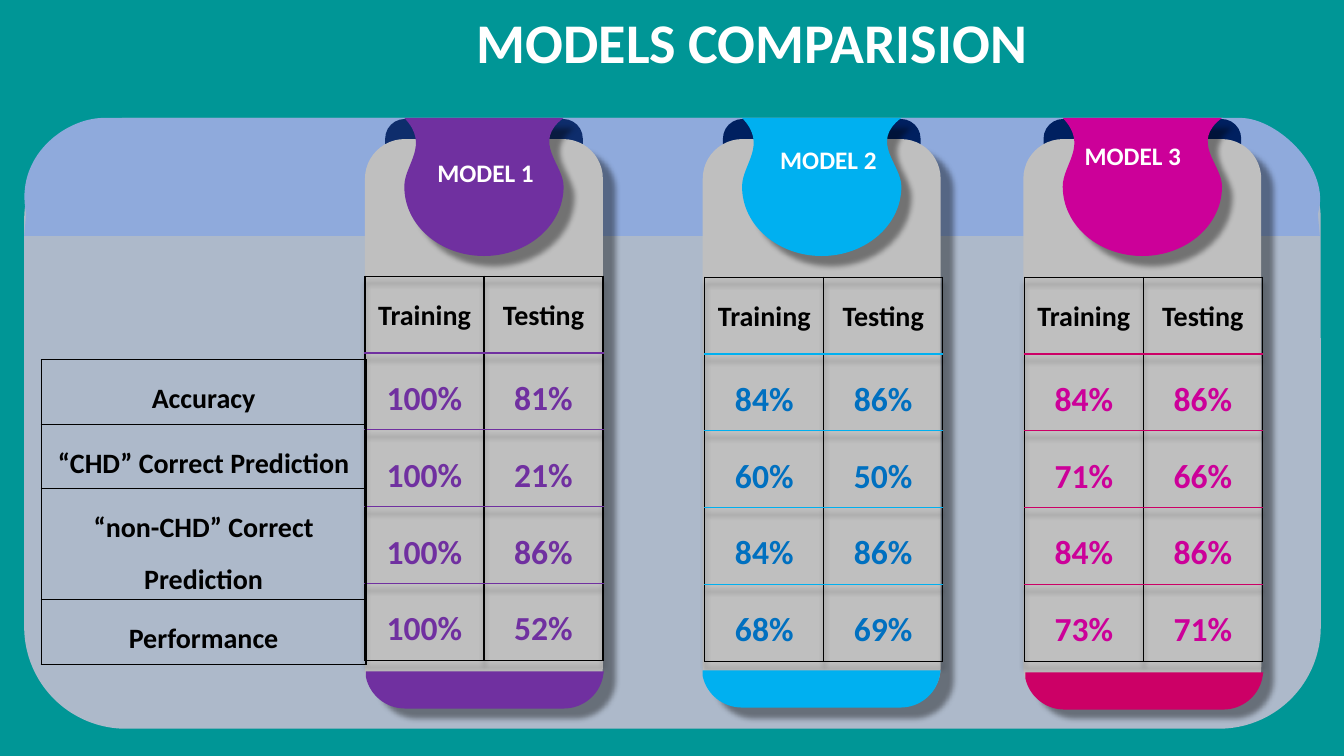
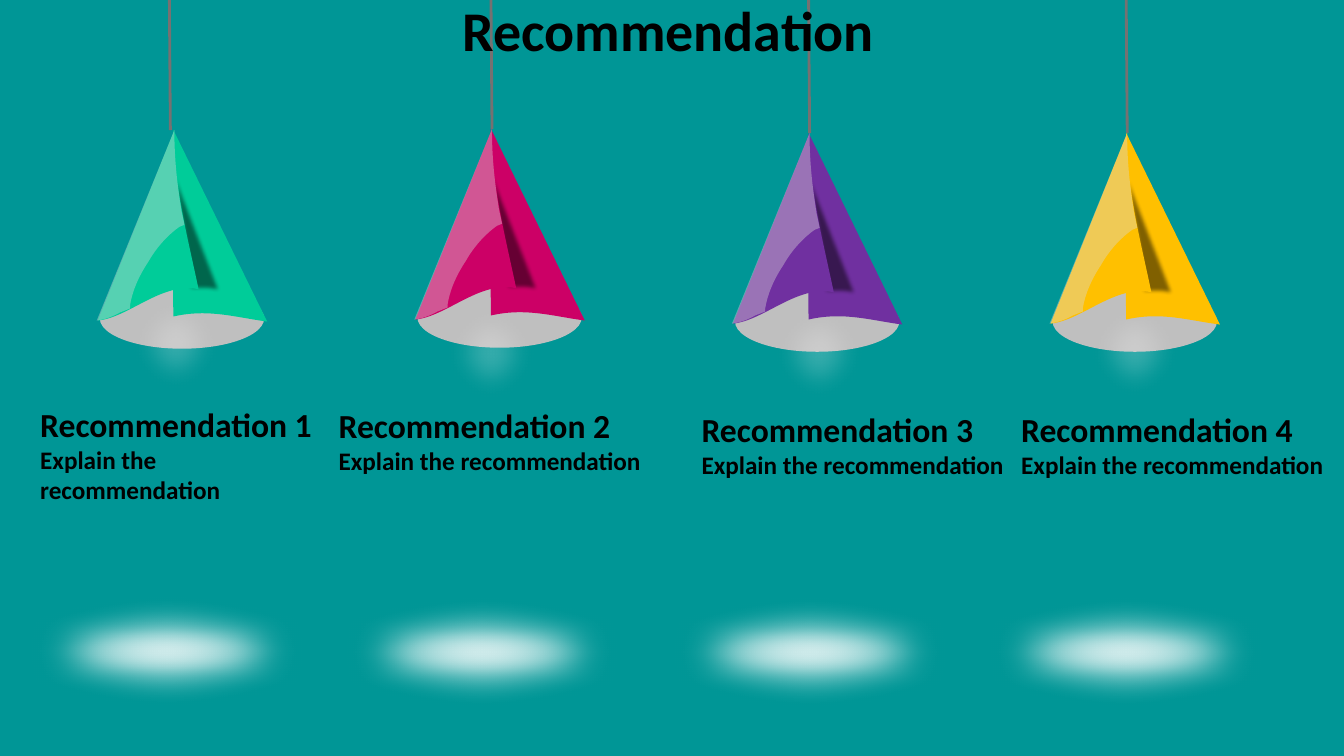
from lxml import etree
from pptx import Presentation
from pptx import util as u
from pptx.dml.color import RGBColor
from pptx.enum import shapes, text
from pptx.oxml import ns

# Shared look
FONT = "Calibri"
TEAL, BLACK, WHITE, SILVER = "009696", "000000", "FFFFFF", "BFBFBF"
PURPLE, SKY, MAGENTA, CRIMSON = "7030A0", "00B0F0", "CC0099", "CC0066"
NAVY = "002060"

# Models: name, pill left, badge, foot and rules, figures, label place,
# foot place, table place, rows
MODELS = [
    ("MODEL 1", 3.62, PURPLE, PURPLE, PURPLE, (4.24, 1.51, 1.44, 0.4),
     (3.63, 6.66), (3.62, 2.74),
     [("100%", "81%"), ("100%", "21%"), ("100%", "86%"), ("100%", "52%")]),
    ("MODEL 2", 6.97, SKY, SKY, "0070C0", (7.64, 1.38, 1.44, 0.4),
     (6.97, 6.65), (6.99, 2.75),
     [("84%", "86%"), ("60%", "50%"), ("84%", "86%"), ("68%", "69%")]),
    ("MODEL 3", 10.15, MAGENTA, CRIMSON, MAGENTA, (10.66, 1.34, 1.7, 0.4),
     (10.17, 6.67), (10.16, 2.75),
     [("84%", "86%"), ("71%", "66%"), ("84%", "86%"), ("73%", "71%")]),
]
MEASURES = ["Accuracy", "“CHD” Correct Prediction",
            "“non-CHD” Correct Prediction", "Performance"]

# Lamps: colour, apex, glow place, floor light place, caption box
LAMPS = [
    ("00CC99", (1.73, 1.29), (1.2, 2.82), (-0.11, 5.9), (0.3, 3.96, 3.12, 1.1)),
    (CRIMSON, (4.88, 1.28), (4.32, 2.91), (3.01, 5.91), (3.26, 3.97, 3.69, 0.8)),
    (PURPLE, (8.03, 1.32), (7.57, 2.91), (6.26, 5.91), (6.86, 4.01, 3.63, 0.8)),
    ("FFC000", (11.18, 1.32), (10.71, 2.89), (9.4, 5.91), (10.03, 4.01, 3.54, 0.8)),
]

# Outlines: two numbers are a corner, six numbers are a curve
BAND = [(0.79, 0), (12.06, 0), (12.44, 0, 12.97, 0.52, 12.83, 0.95),
        (12.85, 1.17), (0, 1.17), (0.02, 0.95), (-0.1, 0.38, 0.41, 0, 0.79, 0)]
BADGE = [(1.97, 0), (1.65, 0.24, 1.97, 0.46, 1.97, 0.68),
         (1.97, 1.07, 1.61, 1.37, 1.18, 1.37), (0.75, 1.37, 0.39, 1.07, 0.39, 0.68),
         (0.39, 0.46, 0.65, 0.27, 0.39, 0)]
FOOT = [(0, 0), (2.36, 0), (2.35, 0.06), (2.31, 0.24, 2.15, 0.37, 1.96, 0.37),
        (0.39, 0.37), (0.2, 0.37, 0.04, 0.24, 0, 0.06)]
CONE_RIGHT = [(-0.01, 1.85), (-0.02, 1.26, -0.01, 0.59, -0.01, 0), (0.92, 1.9),
              (0.61, 1.86, 0.34, 1.77, -0.01, 1.85)]
CREASE = [(0.13, 1.62), (0.13, 1.25, -0.07, 0.49, -0.07, 0.13), (0.51, 1.64),
          (0.39, 1.62, 0.28, 1.57, 0.13, 1.62)]
CONE_LEFT = [(0.24, 1.58), (0.12, 1.01, 0, 0.59, 0, 0), (-0.76, 1.89),
             (-0.45, 1.86, -0.12, 1.5, 0.24, 1.58)]
SHEEN = [(0, 0), (0, 0.3, 0.03, 0.55, 0.07, 0.8), (0.1, 0.94), (0.05, 0.96),
         (-0.05, 1.03, -0.17, 1.15, -0.26, 1.31),
         (-0.36, 1.46, -0.42, 1.61, -0.44, 1.74), (-0.44, 1.77), (-0.54, 1.81),
         (-0.61, 1.85, -0.69, 1.88, -0.77, 1.89)]


def color(value):
    return RGBColor.from_string(value)


def add_child(parent, tag, **attributes):
    child = etree.SubElement(parent, ns.qn(tag))
    for name, value in attributes.items():
        child.set(name, str(value))
    return child


# Shapes
def paint(shape, fill, alpha=100):
    shape.fill.solid()
    shape.fill.fore_color.rgb = color(fill)
    shape.line.fill.background()
    shape.shadow.inherit = False
    if alpha < 100:
        tint = shape.element.spPr.find(".//" + ns.qn("a:srgbClr"))
        add_child(tint, "a:alpha", val=alpha * 1000)
    return shape


def add_preset(page, kind, left, top, width, height, fill, alpha=100):
    shape = page.shapes.add_shape(kind, u.Inches(left), u.Inches(top),
                                  u.Inches(width), u.Inches(height))
    return paint(shape, fill, alpha)


def add_outline(page, outline, left, top, fill, alpha=100):
    """Build the corners, then bend the segments that are curves."""
    corners = [(u.Inches(left + part[-2]), u.Inches(top + part[-1])) for part in outline]
    builder = page.shapes.build_freeform(*corners[0])
    builder.add_line_segments(corners[1:], close=True)
    shape = builder.convert_to_shape()
    segments = shape.element.spPr.findall(".//" + ns.qn("a:lnTo"))
    for segment, part in zip(segments, outline[1:]):
        if len(part) == 6:
            curve = etree.Element(ns.qn("a:cubicBezTo"))
            for x, y in zip(part[::2], part[1::2]):
                add_child(curve, "a:pt", x=u.Inches(left + x) - shape.left,
                          y=u.Inches(top + y) - shape.top)
            segment.getparent().replace(segment, curve)
    return paint(shape, fill, alpha)


def add_shadow(effects, distance, angle):
    shadow = add_child(effects, "a:outerShdw", blurRad=u.Pt(4), dist=u.Pt(distance),
                       dir=angle * 60000, algn="tl", rotWithShape=0)
    add_child(add_child(shadow, "a:srgbClr", val=BLACK), "a:alpha", val=40000)


def cast_shadow(shape, distance):
    add_shadow(shape.element.spPr.find(ns.qn("a:effectLst")), distance, 45)


def soften(shape, radius):
    effects = shape.element.spPr.find(ns.qn("a:effectLst"))
    add_child(effects, "a:softEdge", rad=u.Pt(radius))


def add_cord(page, x, bottom):
    cord = page.shapes.add_connector(shapes.MSO_CONNECTOR.STRAIGHT, u.Inches(x),
                                     u.Inches(bottom), u.Inches(x - 0.01), 0)
    cord.line.color.rgb = color("767171")
    cord.line.width = u.Pt(2)
    add_child(cord.element.spPr, "a:effectLst")


# Text and tables
def add_run(para, words, size, ink):
    span = para.add_run()
    span.text = words
    span.font.name = FONT
    span.font.size = u.Pt(size)
    span.font.bold = True
    span.font.color.rgb = color(ink)


def add_text(page, left, top, width, height, lines, ink):
    box = page.shapes.add_textbox(u.Inches(left), u.Inches(top),
                                  u.Inches(width), u.Inches(height))
    frame = box.text_frame
    frame.word_wrap = True
    for index, (words, size) in enumerate(lines):
        para = frame.add_paragraph() if index else frame.paragraphs[0]
        add_run(para, words, size, ink)


def add_title(page, words, left, top, width, ink):
    add_text(page, left, top, width, 0.77, [(words, 40)], ink)


def set_borders(cell, top, bottom):
    properties = cell._tc.get_or_add_tcPr()
    sides = (("a:lnL", BLACK), ("a:lnR", BLACK), ("a:lnT", top), ("a:lnB", bottom))
    for position, (tag, ink) in enumerate(sides):
        line = add_child(properties, tag, w=u.Pt(0.96))
        add_child(add_child(line, "a:solidFill"), "a:srgbClr", val=ink)
        properties.insert(position, line)


def add_grid(page, left, top, col_width, heights, rows, styles, rule):
    """styles: size and ink of each row; rule: colour of the inner lines."""
    columns = len(rows[0])
    frame = page.shapes.add_table(len(rows), columns, u.Inches(left), u.Inches(top),
                                  u.Inches(col_width * columns), u.Inches(sum(heights)))
    table = frame.table
    table.first_row = table.horz_banding = False
    for column in table.columns:
        column.width = u.Inches(col_width)
    edges = [BLACK] + [rule] * (len(rows) - 1) + [BLACK]
    for r, (row, height, style) in enumerate(zip(rows, heights, styles)):
        table.rows[r].height = u.Inches(height)
        for c, words in enumerate(row):
            cell = table.cell(r, c)
            cell.fill.background()
            set_borders(cell, edges[r], edges[r + 1])
            para = cell.text_frame.paragraphs[0]
            para.alignment = text.PP_ALIGN.CENTER
            para.line_spacing = 1.5
            add_run(para, words, *style)
    return table


def shade_grid(table):
    effects = etree.Element(ns.qn("a:effectLst"))
    add_shadow(effects, 5, 90)
    table._tbl.tblPr.insert(0, effects)


# Slide parts
def add_pill(page, left, badge, ear_alpha):
    for offset in (0.2, 1.77):
        ear = add_preset(page, shapes.MSO_SHAPE.FLOWCHART_DELAY, left + offset, 1.18,
                         0.39, 0.39, NAVY, ear_alpha)
        ear.rotation = 270
    pill = add_preset(page, shapes.MSO_SHAPE.ROUNDED_RECTANGLE, left, 1.38,
                      2.36, 5.63, SILVER)
    cast_shadow(pill, 12)
    cast_shadow(add_outline(page, BADGE, left, 1.17, badge), 10)


def add_lamp(page, fill, apex, glow_at, floor_at):
    x, y = apex
    oval = shapes.MSO_SHAPE.OVAL
    add_preset(page, oval, x - 0.74, y + 1.57, 1.63, 0.6, SILVER)
    soften(add_preset(page, oval, *glow_at, 1.1, 1.17, WHITE, 22), 18)
    add_outline(page, CONE_RIGHT, x, y, fill)
    soften(add_outline(page, CREASE, x, y, BLACK, 50), 3)
    add_outline(page, CONE_LEFT, x, y, fill)
    add_outline(page, SHEEN, x, y, "D9D9D9", 40)
    soften(add_preset(page, oval, *floor_at, 3.54, 1.12, WHITE), 25)


def add_page(deck):
    page = deck.slides.add_slide(deck.slide_layouts[6])
    page.background.fill.solid()
    page.background.fill.fore_color.rgb = color(TEAL)
    return page


def build_comparison(deck):
    page = add_page(deck)
    add_preset(page, shapes.MSO_SHAPE.ROUNDED_RECTANGLE, 0.24, 1.17, 12.86, 6.06,
               "ADB9CA")
    add_outline(page, BAND, 0.24, 1.17, "8FAADC")
    for index, (name, left, badge, foot, figures, label_box,
                foot_at, table_at, rows) in enumerate(MODELS):
        add_pill(page, left, badge, 100 if index else 90)
        table = add_grid(page, *table_at, 1.18, [3.81 / 5] * 5,
                         [("Training", "Testing"), *rows],
                         [(20, BLACK)] + [(24, figures)] * 4, foot)
        shade_grid(table)
        add_outline(page, FOOT, *foot_at, foot)
        add_text(page, *label_box, [(name, 18)], WHITE)
    add_grid(page, 0.41, 3.57, 3.22, [0.64, 0.64, 0.94, 0.64],
             [(measure,) for measure in MEASURES], [(20, BLACK)] * 4, BLACK)
    add_title(page, "MODELS COMPARISION", 4.63, 0.03, 5.85, WHITE)


def build_recommendation(deck):
    page = add_page(deck)
    for index, (_, (x, y), *_) in enumerate(LAMPS):
        add_cord(page, x if index else x - 0.04, y)
    add_title(page, "Recommendation", 4.49, -0.09, 4.95, BLACK)
    for number, (fill, apex, glow_at, floor_at, caption) in enumerate(LAMPS, 1):
        add_lamp(page, fill, apex, glow_at, floor_at)
        add_text(page, *caption, [(f"Recommendation {number}", 24),
                                  ("Explain the recommendation", 18)], BLACK)


def main():
    deck = Presentation()
    deck.slide_width, deck.slide_height = u.Inches(13.33), u.Inches(7.5)
    build_comparison(deck)
    build_recommendation(deck)
    deck.save("out.pptx")


if __name__ == "__main__":
    main()
